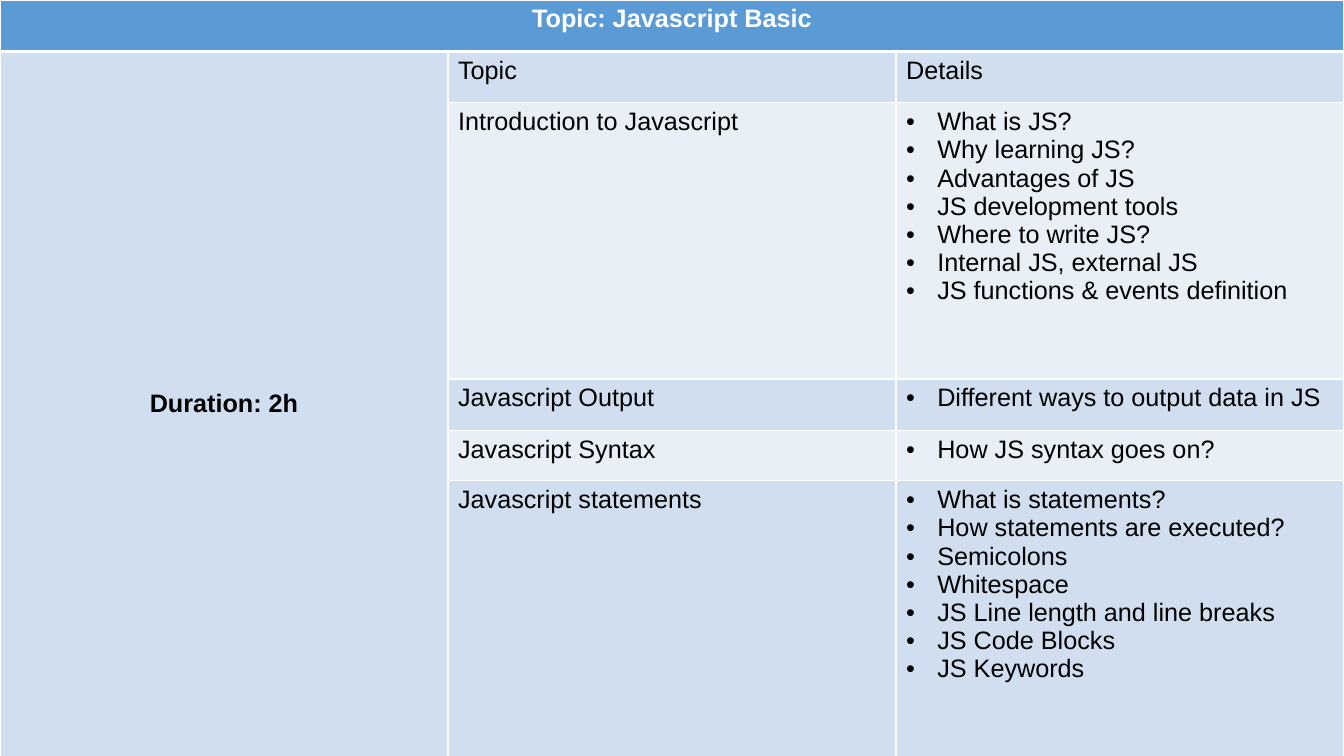
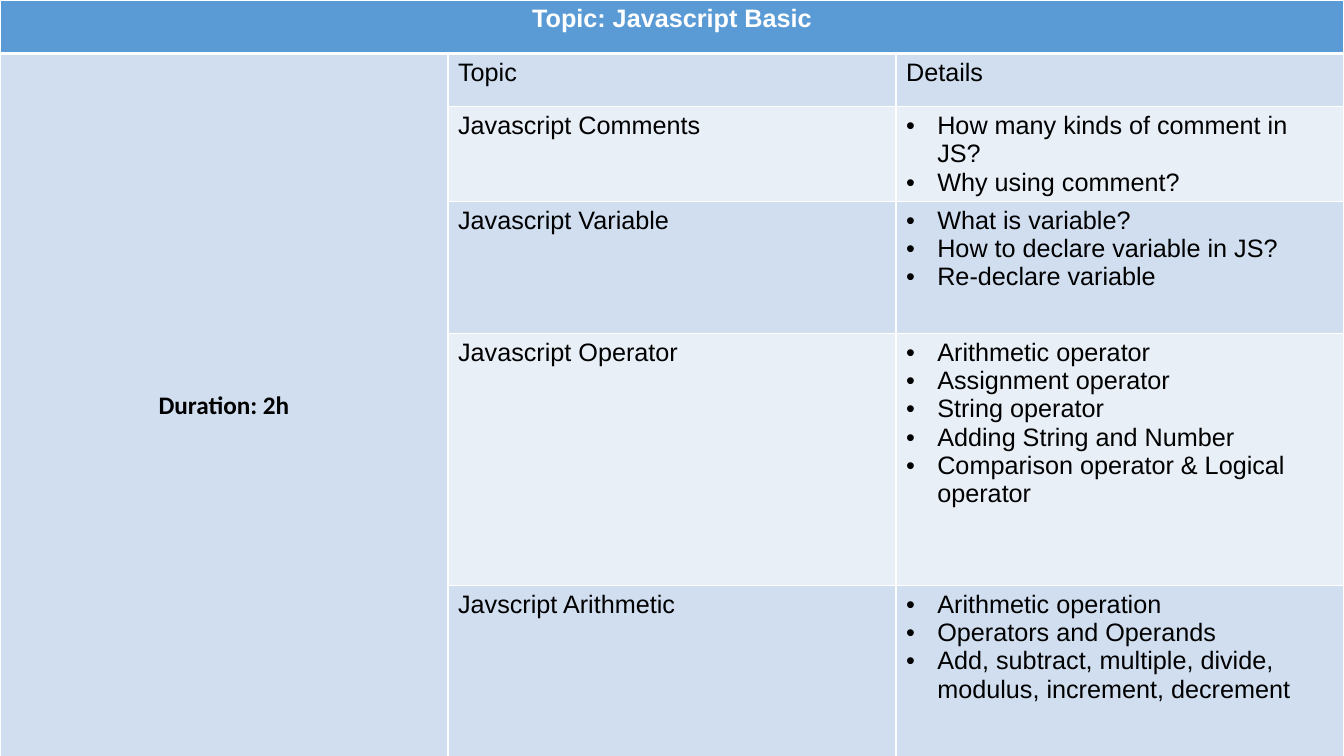
"""Build two course outline slides, each a full-slide table of topics and details."""
from dataclasses import dataclass

from lxml import etree
from pptx import Presentation
from pptx.dml.color import RGBColor
from pptx.enum.text import MSO_ANCHOR, PP_ALIGN
from pptx.oxml.ns import qn
from pptx.util import Inches, Pt

CENTER, LEFT = PP_ALIGN.CENTER, PP_ALIGN.LEFT
TOP, MIDDLE = MSO_ANCHOR.TOP, MSO_ANCHOR.MIDDLE


@dataclass(frozen=True)
class Theme:
    head: str = "5B9BD5"
    dark: str = "D0DEEF"
    light: str = "E9EFF7"
    white: str = "FFFFFF"
    black: str = "000000"
    font: str = "Arial"
    size: int = 18
    thin: int = 1
    thick: int = 3
    indent: float = 0.31


theme = Theme()


def paint(cell, fill, top, bottom):
    cell.fill.solid()
    cell.fill.fore_color.rgb = RGBColor.from_string(fill)
    props = cell._tc.get_or_add_tcPr()
    sides = (("L", theme.thin), ("R", theme.thin), ("T", top), ("B", bottom))
    for spot, (side, width) in enumerate(sides):
        line = etree.Element(qn(f"a:ln{side}"), w=str(Pt(width)))
        solid = etree.SubElement(line, qn("a:solidFill"))
        etree.SubElement(solid, qn("a:srgbClr"), val=theme.white)
        props.insert(spot, line)


def write(cell, lines, color=theme.black, font=theme.font, bold=False,
          align=LEFT, anchor=TOP, bullet=False):
    cell.vertical_anchor = anchor
    frame = cell.text_frame
    for spot, line in enumerate(lines):
        para = frame.add_paragraph() if spot else frame.paragraphs[0]
        para.alignment = align
        run = para.add_run()
        run.text = line
        run.font.name = font
        run.font.size = Pt(theme.size)
        run.font.bold = bold
        run.font.color.rgb = RGBColor.from_string(color)
        if bullet:
            props = para._p.get_or_add_pPr()
            props.set("marL", str(Inches(theme.indent)))
            props.set("indent", str(-Inches(theme.indent)))
            etree.SubElement(props, qn("a:buFont"), typeface=theme.font)
            etree.SubElement(props, qn("a:buChar"), char="•")


slides = [
    {"font": theme.font, "heights": (0.51, 0.51, 2.74, 0.51, 0.5, 2.74), "topics": {
        "Introduction to Javascript": [
            "What is JS?", "Why learning JS?", "Advantages of JS",
            "JS development tools", "Where to write JS?",
            "Internal JS, external JS", "JS functions & events definition"],
        "Javascript Output": ["Different ways to output data in JS"],
        "Javascript Syntax": ["How JS syntax goes on?"],
        "Javascript statements": [
            "What is statements?", "How statements are executed?", "Semicolons",
            "Whitespace", "JS Line length and line breaks", "JS Code Blocks",
            "JS Keywords"]}},
    {"font": "Calibri", "heights": (0.53, 0.53, 0.92, 1.31, 2.5, 1.71), "topics": {
        "Javascript Comments": [
            "How many kinds of comment in JS?", "Why using comment?"],
        "Javascript Variable": [
            "What is variable?", "How to declare variable in JS?",
            "Re-declare variable"],
        "Javascript Operator": [
            "Arithmetic operator", "Assignment operator", "String operator",
            "Adding String and Number", "Comparison operator & Logical operator"],
        "Javscript Arithmetic": [
            "Arithmetic operation", "Operators and Operands",
            "Add, subtract, multiple, divide, modulus, increment, decrement"]}},
]

deck = Presentation()
deck.slide_width, deck.slide_height = Inches(13.33), Inches(7.5)
blank = deck.slide_layouts[6]

for plan in slides:
    heights, topics = plan["heights"], plan["topics"]
    slide = deck.slides.add_slide(blank)
    table = slide.shapes.add_table(
        len(heights), 3, 0, 0, deck.slide_width, deck.slide_height).table
    table.horz_banding = False

    for row, height in enumerate(heights):
        table.rows[row].height = Inches(height)
        band = theme.dark if row % 2 else theme.light
        for col in range(3):
            fill = theme.head if row == 0 else theme.dark if col == 0 else band
            paint(table.cell(row, col), fill,
                  top=theme.thick if row == 1 else theme.thin,
                  bottom=theme.thick if row == 0 else theme.thin)

    table.cell(0, 0).merge(table.cell(0, 2))
    table.cell(1, 0).merge(table.cell(len(heights) - 1, 0))
    write(table.cell(0, 0), ["Topic: Javascript Basic"], color=theme.white,
          bold=True, align=CENTER)
    write(table.cell(1, 0), ["Duration: 2h"], font=plan["font"], bold=True,
          align=CENTER, anchor=MIDDLE)
    write(table.cell(1, 1), ["Topic"])
    write(table.cell(1, 2), ["Details"])
    for row, (topic, details) in enumerate(topics.items(), start=2):
        write(table.cell(row, 1), [topic])
        write(table.cell(row, 2), details, bullet=True)

deck.save("out.pptx")
